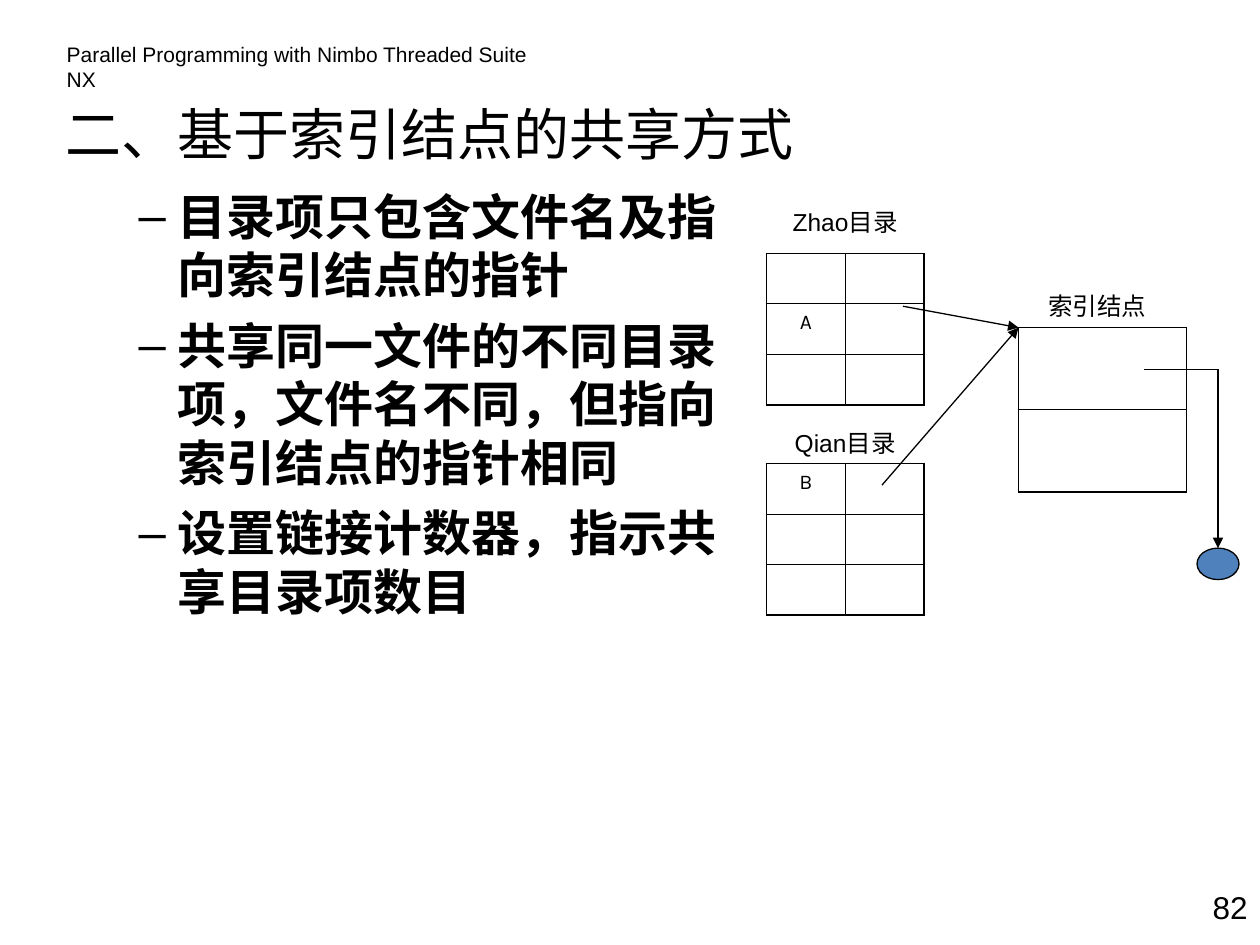
from lxml.etree import SubElement
from pptx import Presentation
from pptx.dml.color import RGBColor
from pptx.enum.shapes import MSO_CONNECTOR, MSO_SHAPE
from pptx.enum.text import MSO_ANCHOR, MSO_AUTO_SIZE, PP_ALIGN
from pptx.oxml.ns import qn
from pptx.util import Pt

BLACK, BLUE = "000000", "4F81BD"
LATIN, CJK, CELL = "Arial", "Noto Sans CJK SC", "Karla"
OUTER, INNER = 1.08, 0.45

HEADER = "Parallel Programming with Nimbo Threaded Suite NX"
TITLE = "二、基于索引结点的共享方式"
POINTS = [
    "目录项只包含文件名及指向索引结点的指针",
    "共享同一文件的不同目录项，文件名不同，但指向索引结点的指针相同",
    "设置链接计数器，指示共享目录项数目",
]
PAGE = "82"
# text, left, top, width
LABELS = [
    ("Zhao目录", 444, 115, 78),
    ("Qian目录", 444, 241, 78),
    ("索引结点", 582, 163, 90),
]
# left, top, column width, row height, rows
TABLES = [
    (438, 144.8, 45, 21.6, [["", ""], ["A", ""], ["", ""]]),
    (438, 264.8, 45, 21.6, [["B", ""], ["", ""], ["", ""]]),
    (582, 187.2, 96, 47, [[""], [""]]),
]
INODE = (582, 187.2)
POINTER_STARTS = [(516, 175), (504, 277.2)]
FILE_BLOCK = (684, 313.2, 24, 18)


def color(value):
    return RGBColor.from_string(value)


def write(p, text, size=14, font=LATIN, bold=False, align=PP_ALIGN.LEFT,
          before=0, line=None, level=0):
    p.level, p.alignment = level, align
    p.space_before = Pt(before)
    if line:
        p.line_spacing = Pt(line)
    r = p.add_run()
    r.text = text
    r.font.size, r.font.name, r.font.bold = Pt(size), font, bold
    r.font.color.rgb = color(BLACK)
    SubElement(r.font._element, qn("a:ea"), typeface=font)


def place(sp, *box):
    sp.left, sp.top, sp.width, sp.height = map(Pt, box)


def add_text(s, text, *box, wrap=False, **fmt):
    tf = s.shapes.add_textbox(*map(Pt, box)).text_frame
    tf.word_wrap = wrap
    write(tf.paragraphs[0], text, **fmt)


def set_borders(cell, **widths):
    tcPr = cell._tc.get_or_add_tcPr()
    for side, width in widths.items():
        ln = SubElement(tcPr, qn(f"a:ln{side}"), w=str(int(Pt(width))))
        fill = SubElement(ln, qn("a:solidFill"))
        SubElement(fill, qn("a:srgbClr"), val=BLACK)


def add_grid(s, left, top, col_width, row_height, rows):
    n, m = len(rows), len(rows[0])
    table = s.shapes.add_table(n, m, Pt(left), Pt(top), Pt(m * col_width),
                               Pt(n * row_height)).table
    table.first_row = table.horz_banding = False
    for i, row in enumerate(rows):
        table.rows[i].height = Pt(row_height)
        for j, text in enumerate(row):
            cell = table.cell(i, j)
            set_borders(cell,
                        L=INNER if j else OUTER,
                        R=INNER if j < m - 1 else OUTER,
                        T=INNER if i else OUTER,
                        B=INNER if i < n - 1 else OUTER)
            cell.fill.background()
            p = cell.text_frame.paragraphs[0]
            if text:
                write(p, text, size=12, font=CELL, align=PP_ALIGN.CENTER)
            else:
                end = SubElement(p._p, qn("a:endParaRPr"), sz="1800")
                SubElement(end, qn("a:latin"), typeface=LATIN)


def add_line(s, start, end, arrow=True):
    c = s.shapes.add_connector(MSO_CONNECTOR.STRAIGHT, *map(Pt, start + end))
    c.line.color.rgb, c.line.width = color(BLACK), Pt(0.75)
    if arrow:
        SubElement(c.line._get_or_add_ln(), qn("a:tailEnd"), type="triangle")
    SubElement(c._element.spPr, qn("a:effectLst"))
    return c


def main():
    prs = Presentation()
    prs.slide_width, prs.slide_height = Pt(720), Pt(540)
    s = prs.slides.add_slide(prs.slide_layouts[1])
    add_text(s, HEADER, 31, 20, 295, 21.6, size=12)

    title, body = s.placeholders
    place(title, 30, 49, 630, 54)
    tf = title.text_frame
    tf.vertical_anchor = MSO_ANCHOR.MIDDLE
    write(tf.paragraphs[0], TITLE, size=32, font=CJK)

    place(body, 36, 103, 396, 330)
    tf = body.text_frame
    tf.auto_size = MSO_AUTO_SIZE.NONE
    for i, text in enumerate(POINTS):
        p = tf.add_paragraph() if i else tf.paragraphs[0]
        write(p, text, size=28, font=CJK, bold=True, level=1, line=33.4,
              before=7 if i else 0)

    add_text(s, PAGE, 672, 504, 48, 29, wrap=True, size=18,
             align=PP_ALIGN.RIGHT)
    for grid in TABLES:
        add_grid(s, *grid)
    for start in POINTER_STARTS:
        add_line(s, start, INODE)
    for text, left, top, width in LABELS:
        add_text(s, text, left, top, width, 24.5, align=PP_ALIGN.CENTER)

    block = s.shapes.add_shape(MSO_SHAPE.OVAL, *map(Pt, FILE_BLOCK))
    block.shadow.inherit = False
    block.fill.solid()
    block.fill.fore_color.rgb = color(BLUE)
    block.line.color.rgb, block.line.width = color(BLACK), Pt(0.75)

    x, y, width, _ = FILE_BLOCK
    corner = (x + width / 2, 211)
    add_line(s, (654, 211), corner, arrow=False)
    add_line(s, corner, (corner[0], y)).end_connect(block, 0)
    prs.save("out.pptx")


if __name__ == "__main__":
    main()
